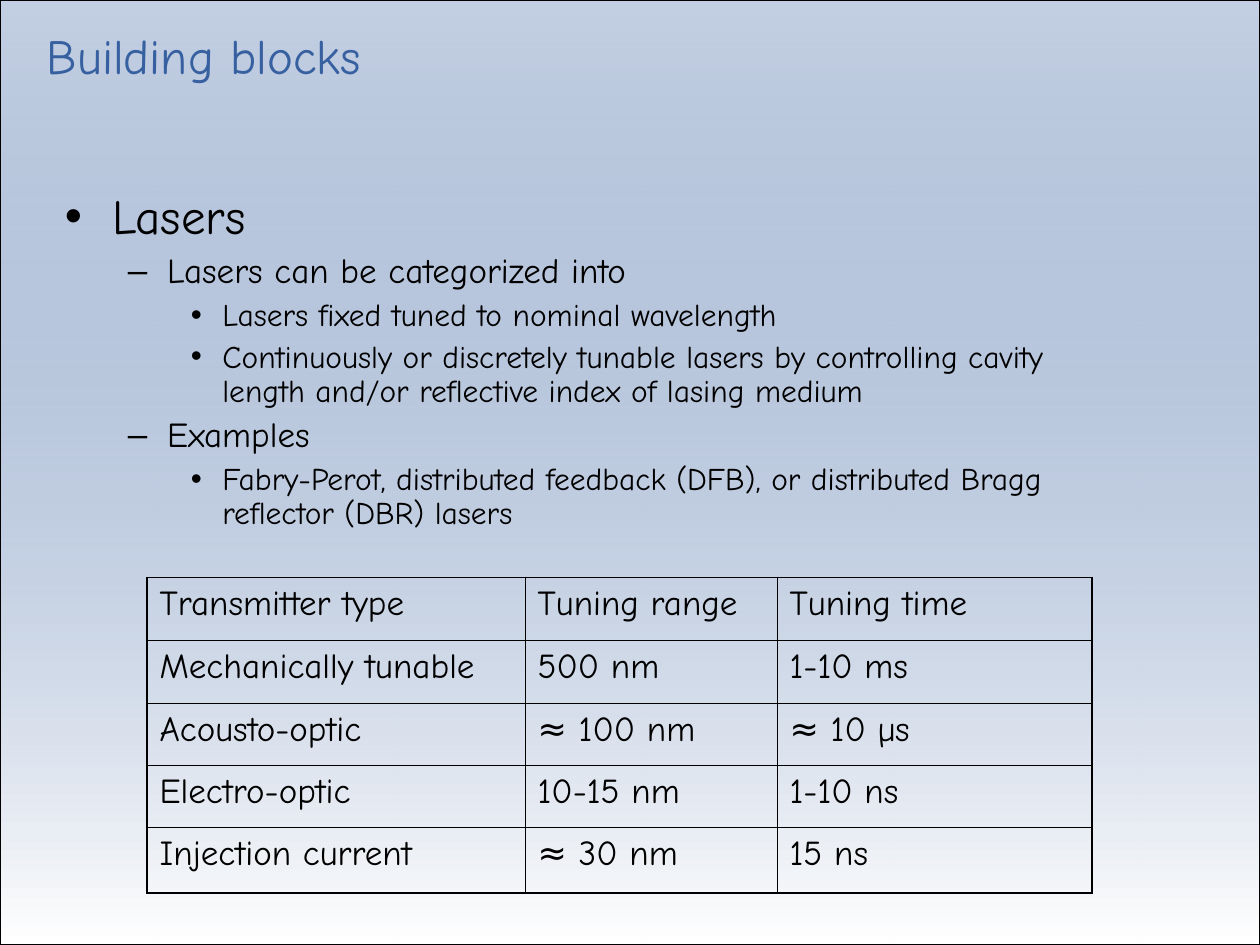
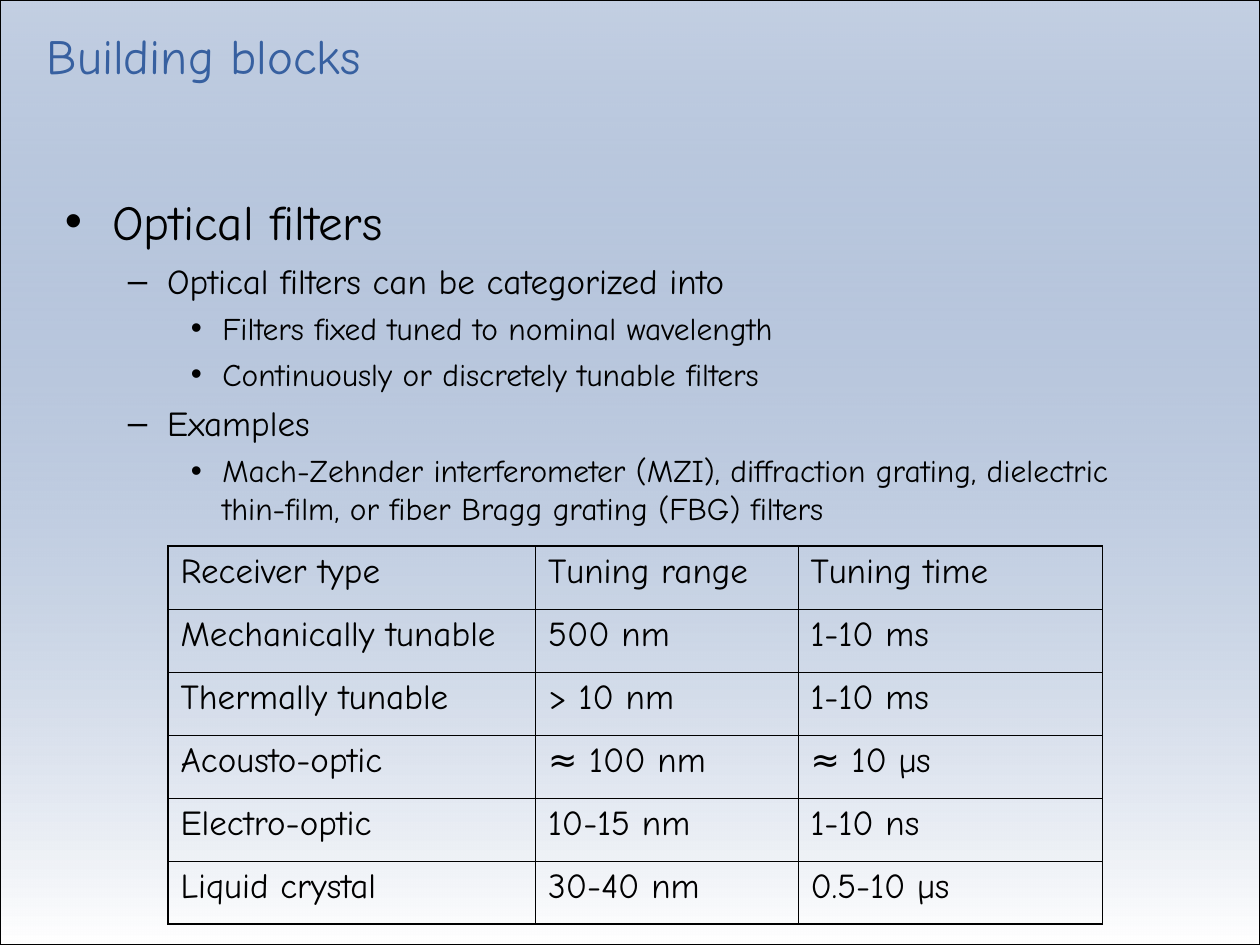
from collections import namedtuple
from dataclasses import dataclass

from lxml import etree
from pptx import Presentation
from pptx.dml.color import RGBColor
from pptx.enum.shapes import MSO_SHAPE
from pptx.enum.text import MSO_ANCHOR, MSO_AUTO_SIZE, PP_ALIGN
from pptx.oxml.ns import qn
from pptx.util import Pt

RECTANGLE = MSO_SHAPE.RECTANGLE
TOP = MSO_ANCHOR.TOP
LEFT = PP_ALIGN.LEFT
NO_FIT = MSO_AUTO_SIZE.NONE
TITLE_ONLY = 5

Box = namedtuple("Box", "left top width height")
Level = namedtuple("Level", "size bullet margin hanging space_before")


@dataclass(frozen=True)
class Theme:
    font: str = "Comic Neue"
    bullet_font: str = "Arial"
    accent: str = "3760A0"
    ink: str = "000000"
    paper: str = "FFFFFF"
    accent_opacity: int = 30
    title_size: float = 28
    cell_size: float = 20
    frame_line: float = 0.75
    outer_line: float = 1.08
    inner_line: float = 0.45
    title_spacing: float = 0.9
    levels: tuple = (
        Level(28, "•", 27, 27, 7),
        Level(20, "–", 58.5, 22.5, 5),
        Level(18, "•", 90, 18, 4.5),
    )


THEME = Theme()
PAGE_BOX = Box(0, 0, 720, 540)
TITLE_BOX = Box(19.5, 15, 499, 34)

LASER_POINTS = [
    (0, "Lasers"),
    (1, "Lasers can be categorized into"),
    (2, "Lasers fixed tuned to nominal wavelength"),
    (2, "Continuously or discretely tunable lasers by controlling cavity "
        "length and/or reflective index of lasing medium"),
    (1, "Examples"),
    (2, "Fabry-Perot, distributed feedback (DFB), or distributed Bragg "
        "reflector (DBR) lasers"),
]
TRANSMITTERS = [
    ("Transmitter type", "Tuning range", "Tuning time"),
    ("Mechanically tunable", "500 nm", "1-10 ms"),
    ("Acousto-optic", "≈ 100 nm", "≈ 10 µs"),
    ("Electro-optic", "10-15 nm", "1-10 ns"),
    ("Injection current", "≈ 30 nm", "15 ns"),
]
FILTER_POINTS = [
    (0, "Optical filters"),
    (1, "Optical filters can be categorized into"),
    (2, "Filters fixed tuned to nominal wavelength"),
    (2, "Continuously or discretely tunable filters"),
    (1, "Examples"),
    (2, "Mach-Zehnder interferometer (MZI), diffraction grating, dielectric "
        "thin-film, or fiber Bragg grating (FBG) filters"),
]
RECEIVERS = [
    ("Receiver type", "Tuning range", "Tuning time"),
    ("Mechanically tunable", "500 nm", "1-10 ms"),
    ("Thermally tunable", "> 10 nm", "1-10 ms"),
    ("Acousto-optic", "≈ 100 nm", "≈ 10 µs"),
    ("Electro-optic", "10-15 nm", "1-10 ns"),
    ("Liquid crystal", "30-40 nm", "0.5-10 µs"),
]


def points(box):
    return [Pt(length) for length in box]


def rgb(color):
    return RGBColor.from_string(color)


def style_runs(para, size, color):
    for span in para.runs:
        span.font.name = THEME.font
        span.font.size = Pt(size)
        span.font.color.rgb = rgb(color)


def add_backdrop(layout, page, box):
    """Draw the tinted frame and move it behind everything on the layout."""
    frame = page.shapes.add_shape(RECTANGLE, *points(box))
    frame.shadow.inherit = False
    frame.line.color.rgb = rgb(THEME.ink)
    frame.line.width = Pt(THEME.frame_line)
    frame.fill.gradient()
    frame.fill.gradient_angle = 270
    stops = frame.fill.gradient_stops
    for stop, color, position in zip(stops, (THEME.accent, THEME.paper), (0, 1)):
        stop.color.rgb = rgb(color)
        stop.position = position
    tint = frame._element.find(".//" + qn("a:gs")).find(qn("a:srgbClr"))
    etree.SubElement(tint, qn("a:alpha"), val=str(THEME.accent_opacity * 1000))
    layout.shapes._spTree.insert(2, frame._element)


def place_title(page, box, text):
    title = page.shapes.title
    title.left, title.top, title.width, title.height = points(box)
    frame = title.text_frame
    frame.text = text
    frame.word_wrap = True
    frame.auto_size = NO_FIT
    frame.vertical_anchor = TOP
    para = frame.paragraphs[0]
    para.alignment = LEFT
    para.line_spacing = THEME.title_spacing
    style_runs(para, THEME.title_size, THEME.accent)


def add_bullet(para, level):
    properties = para._p.get_or_add_pPr()
    properties.set("marL", str(Pt(level.margin)))
    properties.set("indent", str(-Pt(level.hanging)))
    color = etree.SubElement(properties, qn("a:buClr"))
    etree.SubElement(color, qn("a:srgbClr"), val=THEME.ink)
    etree.SubElement(properties, qn("a:buFont"), typeface=THEME.bullet_font)
    etree.SubElement(properties, qn("a:buChar"), char=level.bullet)


def add_outline(page, box, entries, line_spacing):
    frame = page.shapes.add_textbox(*points(box)).text_frame
    frame.word_wrap = True
    frame.vertical_anchor = TOP
    for index, (depth, text) in enumerate(entries):
        para = frame.add_paragraph() if index else frame.paragraphs[0]
        level = THEME.levels[depth]
        para.text = text
        para.level = depth
        add_bullet(para, level)
        para.line_spacing = line_spacing
        para.space_before = Pt(level.space_before if index else 0)
        style_runs(para, level.size, THEME.ink)


def add_border(cell, side, width):
    properties = cell._tc.get_or_add_tcPr()
    line = etree.SubElement(properties, qn("a:ln" + side), w=str(Pt(width)))
    fill = etree.SubElement(line, qn("a:solidFill"))
    etree.SubElement(fill, qn("a:srgbClr"), val=THEME.ink)


def add_tuning_table(page, left, top, widths, heights, rows):
    box = Box(left, top, sum(widths), sum(heights))
    table = page.shapes.add_table(len(rows), len(widths), *points(box)).table
    table.first_row = table.horz_banding = False
    for column, width in zip(table.columns, widths):
        column.width = Pt(width)
    for row, height in zip(table.rows, heights):
        row.height = Pt(height)
    last_row, last_column = len(rows) - 1, len(widths) - 1
    for r, texts in enumerate(rows):
        for c, text in enumerate(texts):
            cell = table.cell(r, c)
            cell.text = text
            style_runs(cell.text_frame.paragraphs[0], THEME.cell_size, THEME.ink)
            # Heavier lines run round the outside
            outer = {"L": c == 0, "R": c == last_column,
                     "T": r == 0, "B": r == last_row}
            for side, is_outer in outer.items():
                add_border(cell, side,
                           THEME.outer_line if is_outer else THEME.inner_line)
            cell.fill.background()


def add_page(deck):
    page = deck.slides.add_slide(deck.slide_layouts[TITLE_ONLY])
    place_title(page, TITLE_BOX, "Building blocks")
    return page


def main():
    deck = Presentation()
    deck.slide_width, deck.slide_height = Pt(PAGE_BOX.width), Pt(PAGE_BOX.height)

    # Lasers
    lasers = add_page(deck)
    add_backdrop(deck.slide_layouts[TITLE_ONLY], lasers, PAGE_BOX)
    add_outline(lasers, Box(30, 106, 612, 212), LASER_POINTS, 0.9)
    add_tuning_table(lasers, 84, 330, (216, 144, 180),
                     (36, 36, 35.5, 35.5, 37.5), TRANSMITTERS)

    # Optical filters
    filters = add_page(deck)
    add_outline(filters, Box(30, 106, 612, 199), FILTER_POINTS, 1.0)
    add_tuning_table(filters, 96, 312, (210, 150, 174),
                     [36] * len(RECEIVERS), RECEIVERS)

    deck.save("out.pptx")


if __name__ == "__main__":
    main()
